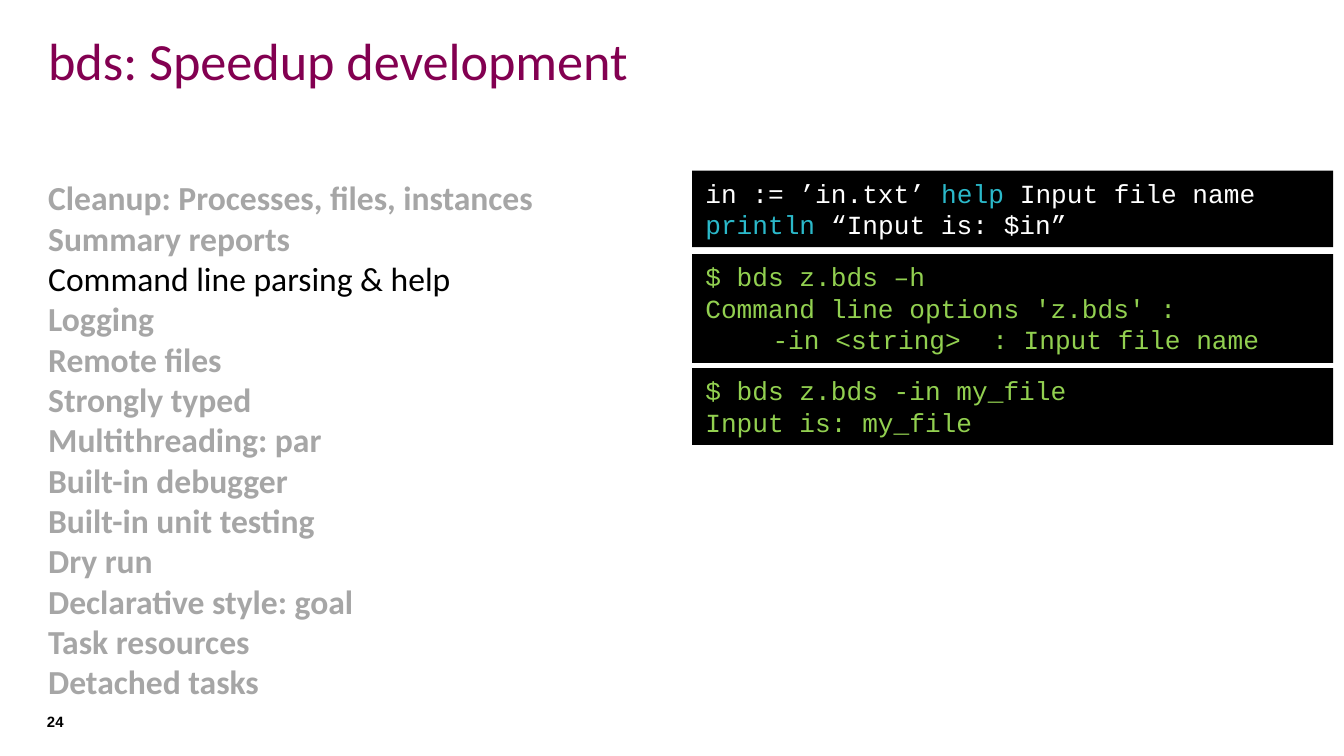
from dataclasses import dataclass

from pptx import Presentation
from pptx.dml.color import RGBColor
from pptx.enum.shapes import MSO_SHAPE
from pptx.enum.text import MSO_ANCHOR, PP_ALIGN
from pptx.util import Inches, Pt


@dataclass(frozen=True)
class Theme:
    heading_font: str = "Calibri"
    code_font: str = "Courier New"
    number_font: str = "Arial"
    title_size: float = 28
    topic_size: float = 18
    topic_pitch: float = 21.6
    code_size: float = 14
    number_size: float = 8
    plum: str = "830051"
    muted: str = "A6A6A6"
    black: str = "000000"
    white: str = "FFFFFF"
    keyword: str = "2BB9CA"
    terminal: str = "92D050"


THEME = Theme()

CURRENT_TOPIC = "Command line parsing & help"
TOPICS = [
    "Cleanup: Processes, files, instances",
    "Summary reports",
    CURRENT_TOPIC,
    "Logging",
    "Remote files",
    "Strongly typed",
    "Multithreading: par",
    "Built-in debugger",
    "Built-in unit testing",
    "Dry run",
    "Declarative style: goal",
    "Task resources",
    "Detached tasks",
]

SOURCE_CODE = [
    [("in := ’in.txt’ ", THEME.white), ("help", THEME.keyword),
     (" Input file name", THEME.white)],
    [("println", THEME.keyword), (" “Input is: $in”", THEME.white)],
]
HELP_SESSION = [
    "$ bds z.bds –h",
    "Command line options 'z.bds' :",
    "\t-in <string>  : Input file name",
]
RUN_SESSION = ["$ bds z.bds -in my_file", "Input is: my_file"]


def add_span(para, text, font, size, color, bold=False):
    span = para.add_run()
    span.text = text
    span.font.name = font
    span.font.size = Pt(size)
    span.font.bold = bold
    span.font.color.rgb = RGBColor.from_string(color)


def paragraphs(frame, count):
    """Return count paragraphs, starting with the one the frame already has."""
    return [frame.paragraphs[0]] + [frame.add_paragraph() for _ in range(count - 1)]


def add_text_box(page, left, top, width, height):
    frame = page.shapes.add_textbox(
        Inches(left), Inches(top), Inches(width), Inches(height)).text_frame
    frame.word_wrap = True
    return frame


def add_title(page, text):
    frame = add_text_box(page, 0.26, 0.16, 9.06, 0.55)
    add_span(frame.paragraphs[0], text, THEME.heading_font, THEME.title_size, THEME.plum)


def add_topics(page, topics, current):
    """List the topics, with all but the current one muted."""
    frame = add_text_box(page, 0.26, 1.27, 4.89, 3.77)
    for para, topic in zip(paragraphs(frame, len(topics)), topics):
        para.line_spacing = Pt(THEME.topic_pitch)
        color = THEME.black if topic == current else THEME.muted
        add_span(para, topic, THEME.heading_font, THEME.topic_size, color,
                 bold=topic != current)


def add_page_number(page, number):
    frame = add_text_box(page, 0.35, 5.3, 0.43, 0.18)
    frame.margin_left = frame.margin_right = 0
    frame.margin_top = frame.margin_bottom = 0
    add_span(frame.paragraphs[0], number, THEME.number_font, THEME.number_size,
             THEME.black, bold=True)


def add_code_panel(page, top, height, lines):
    """Draw a black panel; each line is a list of (text, color) spans."""
    panel = page.shapes.add_shape(
        MSO_SHAPE.RECTANGLE, Inches(5.15), Inches(top), Inches(4.77), Inches(height))
    panel.shadow.inherit = False
    panel.fill.solid()
    panel.fill.fore_color.rgb = RGBColor.from_string(THEME.black)
    panel.line.fill.background()
    frame = panel.text_frame
    frame.word_wrap = True
    frame.vertical_anchor = MSO_ANCHOR.TOP
    for para, spans in zip(paragraphs(frame, len(lines)), lines):
        para.alignment = PP_ALIGN.LEFT
        for text, color in spans:
            add_span(para, text, THEME.code_font, THEME.code_size, color)


def add_terminal_panel(page, top, height, lines):
    add_code_panel(page, top, height, [[(line, THEME.terminal)] for line in lines])


def main():
    deck = Presentation()
    deck.slide_width = Inches(10)
    deck.slide_height = Inches(10) * 9 // 16
    page = deck.slides.add_slide(deck.slide_layouts[6])

    add_title(page, "bds: Speedup development")
    add_topics(page, TOPICS, CURRENT_TOPIC)
    add_page_number(page, "24")
    add_code_panel(page, 1.27, 0.57, SOURCE_CODE)
    add_terminal_panel(page, 1.89, 0.81, HELP_SESSION)
    add_terminal_panel(page, 2.74, 0.57, RUN_SESSION)

    deck.save("out.pptx")


if __name__ == "__main__":
    main()
